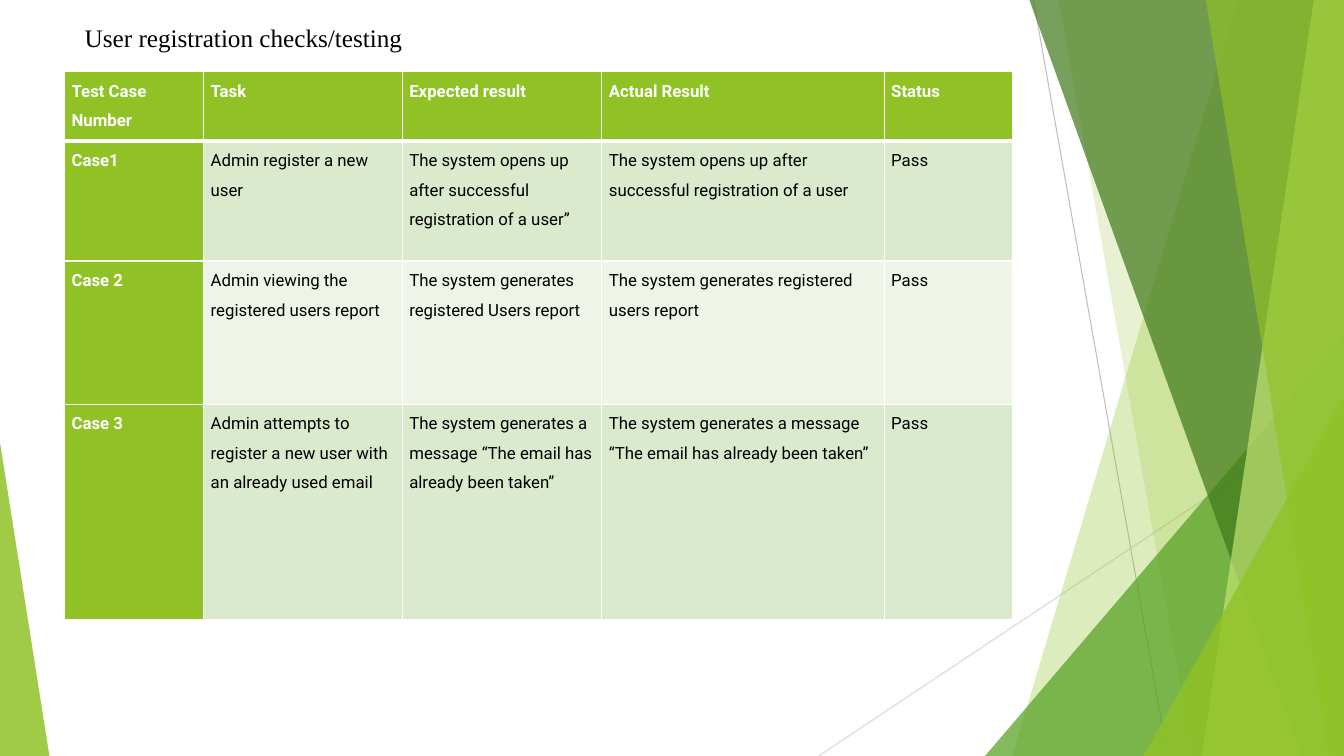
from lxml import etree
from pptx import Presentation
from pptx.dml.color import RGBColor
from pptx.enum.shapes import MSO_CONNECTOR, MSO_SHAPE
from pptx.enum.text import MSO_ANCHOR, PP_ALIGN
from pptx.oxml.ns import qn
from pptx.util import Inches, Pt

STRAIGHT = MSO_CONNECTOR.STRAIGHT
TRIANGLE = MSO_SHAPE.ISOSCELES_TRIANGLE
TOP = MSO_ANCHOR.TOP
LEFT = PP_ALIGN.LEFT
WIDTH, HEIGHT = 13.33, 7.5
COLORS = {
    "lime": "90C226", "green": "54A021", "forest": "3F7819", "pale": "C0E474",
    "gray": "BFBFBF", "light_gray": "D9D9D9", "white": "FFFFFF", "black": "000000",
    "band_dark": "DBE9CD", "band_light": "EEF4E8",
}
COL_WIDTHS = [1.38, 1.97, 1.98, 2.8, 1.27]
ROW_HEIGHTS = [0.69, 1.19, 1.42, 2.14]
TESTS = [
    ["Test Case Number", "Task", "Expected result", "Actual Result", "Status"],
    ["Case1", "Admin register a new user",
     "The system opens up after successful registration of a user”",
     "The system opens up after successful registration of a user", "Pass"],
    ["Case 2", "Admin viewing the registered users report",
     "The system generates registered Users report",
     "The system generates registered\nusers report", "Pass"],
    ["Case 3", "Admin attempts to register a new user with an already used email",
     "The system generates a message “The email has already been taken”",
     "The system generates a message “The email has already been taken”", "Pass"],
]


def rgb(name):
    """Return the named colour."""
    return RGBColor.from_string(COLORS[name])


def add_run(p, text, font, size, color, bold=False):
    """Add a formatted run to a paragraph."""
    r = p.add_run()
    r.text = text
    r.font.name = font
    r.font.size = Pt(size)
    r.font.bold = bold
    r.font.color.rgb = rgb(color)


def paint(sp, color, opacity):
    """Give a shape a translucent fill without line or shadow."""
    sp.fill.solid()
    sp.fill.fore_color.rgb = rgb(color)
    sp.line.fill.background()
    sp.shadow.inherit = False
    clr = sp.fill._xPr.find(qn("a:solidFill"))[0]
    etree.SubElement(clr, qn("a:alpha"), val=str(opacity * 1000))


def add_hairline(slide, start, end, color):
    """Draw a thin line between two points."""
    line = slide.shapes.add_connector(
        STRAIGHT, *(Inches(v) for v in (*start, *end)))
    line.line.color.rgb = rgb(color)
    line.line.width = Pt(0.75)
    etree.SubElement(line._element.spPr, qn("a:effectLst"))


def add_shard(slide, top_x, bottom_x, color, opacity):
    """Draw a full-height shard reaching the right slide edge."""
    points = [(Inches(x), Inches(y)) for x, y in
              ((top_x, 0), (WIDTH, 0), (WIDTH, HEIGHT), (bottom_x, HEIGHT))]
    builder = slide.shapes.build_freeform(*points[0], scale=1.0)
    builder.add_line_segments(points[1:], close=True)
    paint(builder.convert_to_shape(), color, opacity)


def add_corner(slide, left, top, width, apex, color, opacity):
    """Draw a right triangle standing on the bottom slide edge."""
    sp = slide.shapes.add_shape(TRIANGLE, Inches(left), Inches(top),
                                Inches(width), Inches(HEIGHT - top))
    sp.adjustments[0] = apex
    paint(sp, color, opacity)


def add_backdrop(slide):
    """Layer the green facets along both slide edges."""
    add_hairline(slide, (10.25, 0), (11.58, HEIGHT), "gray")
    add_hairline(slide, (WIDTH, 4.03), (8.12, HEIGHT), "light_gray")
    add_shard(slide, 12.28, 10.04, "lime", 30)
    add_shard(slide, 10.5, 11.83, "lime", 20)
    add_corner(slide, 9.77, 3.33, 3.56, 1, "green", 72)
    add_shard(slide, 10.21, 12.91, "forest", 70)
    add_shard(slide, 13.03, 11.92, "pale", 70)
    add_shard(slide, 11.96, 13.18, "lime", 65)
    add_corner(slide, 11.34, 3.93, 1.99, 1, "lime", 80)
    add_corner(slide, 0, 4.39, 0.49, 0, "lime", 85)


def add_title(slide, left, top, width, height):
    """Place and format the title placeholder."""
    title = slide.shapes.title
    title.left, title.top = Inches(left), Inches(top)
    title.width, title.height = Inches(width), Inches(height)
    tf = title.text_frame
    tf.word_wrap = True
    tf.vertical_anchor = TOP
    p = tf.paragraphs[0]
    p.alignment = LEFT
    add_run(p, "User registration checks/testing", "Times New Roman", 18, "black")


def set_borders(cell, widths):
    """Draw white cell borders with the given widths by side."""
    tcPr = cell._tc.get_or_add_tcPr()
    for side, width in widths.items():
        ln = etree.SubElement(tcPr, qn(f"a:ln{side}"), w=str(Pt(width)))
        fill = etree.SubElement(ln, qn("a:solidFill"))
        etree.SubElement(fill, qn("a:srgbClr"), val=COLORS["white"])


def fill_cell(cell, text, row, col):
    """Write and style one table cell by its position."""
    heading = row == 0 or col == 0
    set_borders(cell, {"L": 1, "R": 1, "T": 3 if row == 1 else 1,
                       "B": 3 if row == 0 else 1})
    band = "band_dark" if row % 2 else "band_light"
    cell.fill.solid()
    cell.fill.fore_color.rgb = rgb("lime" if heading else band)
    cell.margin_left = cell.margin_right = Inches(0.07)
    cell.margin_top = cell.margin_bottom = 0
    tf = cell.text_frame
    for i, line in enumerate(text.split("\n")):
        p = tf.add_paragraph() if i else tf.paragraphs[0]
        p.line_spacing = 1.5
        add_run(p, line, "Roboto", 12, "white" if heading else "black", heading)


def add_test_table(slide, left, top, width, height):
    """Build the table of test cases in the given box."""
    table = slide.shapes.add_table(
        len(TESTS), len(COL_WIDTHS), Inches(left), Inches(top),
        Inches(width), Inches(height)).table
    for column, share in zip(table.columns, COL_WIDTHS):
        column.width = Inches(width * share / sum(COL_WIDTHS))
    for table_row, share in zip(table.rows, ROW_HEIGHTS):
        table_row.height = Inches(height * share / sum(ROW_HEIGHTS))
    for row, texts in enumerate(TESTS):
        for col, text in enumerate(texts):
            fill_cell(table.cell(row, col), text, row, col)


def main():
    """Create the presentation."""
    prs = Presentation()
    prs.slide_width, prs.slide_height = Inches(WIDTH), Inches(HEIGHT)
    slide = prs.slides.add_slide(prs.slide_layouts[5])
    add_backdrop(slide)
    add_title(slide, 0.74, 0.17, 9.4, 0.54)
    add_test_table(slide, 0.64, 0.71, 9.4, 5.44)
    prs.save("out.pptx")


if __name__ == "__main__":
    main()
